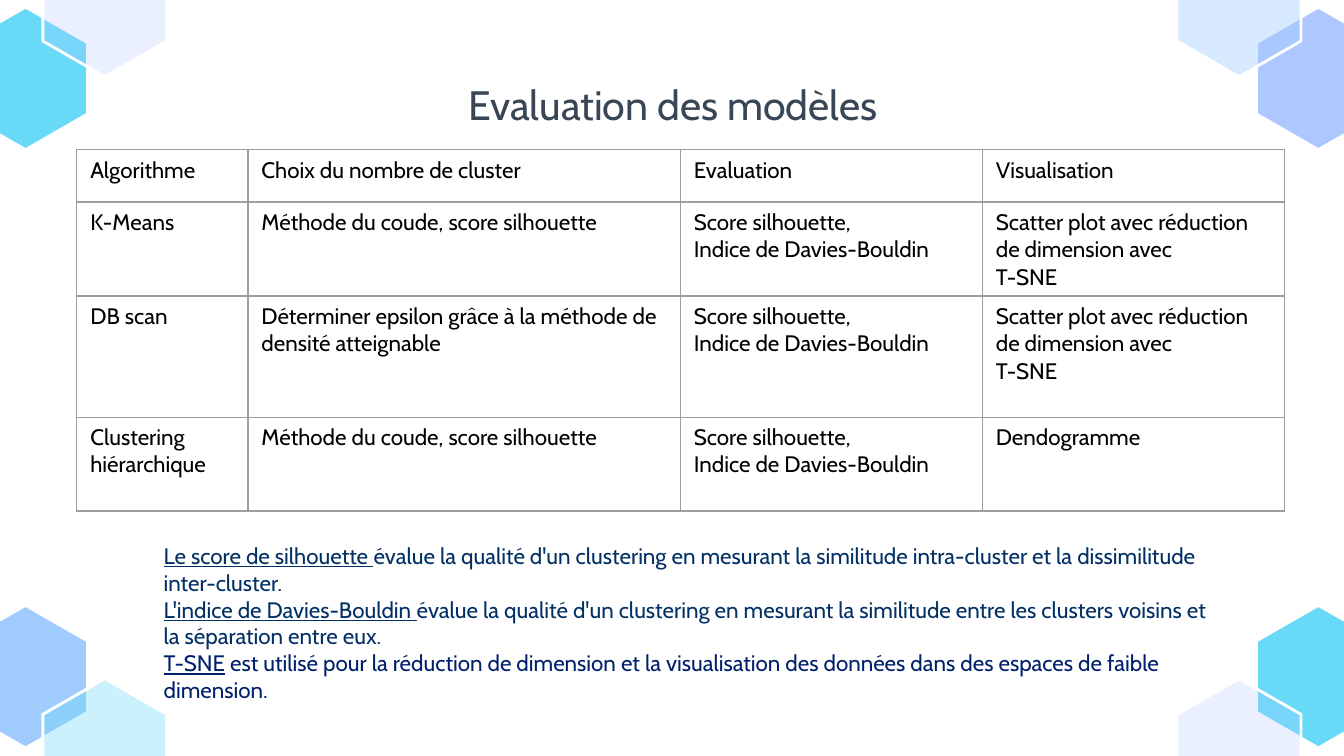
import pptx
import pptx.util
import pptx.dml.color
import pptx.enum.text
import pptx.oxml
import pptx.oxml.ns
from lxml import etree

Pt = pptx.util.Pt
qn = pptx.oxml.ns.qn


def color(code):
    return pptx.dml.color.RGBColor.from_string(code)


def style(para, size, code):
    para.font.name = "Cabin"
    para.font.size = Pt(size)
    para.font.color.rgb = color(code)


deck = pptx.Presentation()
deck.slide_width, deck.slide_height = Pt(720), Pt(405)
slide = deck.slides.add_slide(deck.slide_layouts[6])
shapes = slide.shapes

# Corner hexagons: centre x, centre y, fill, opacity in percent
hexes = [
    (13.7, 362.5, "9FCBFD", 100), (56.2, 401.8, "68DAF8", 34),
    (706.3, 362.5, "68DAF8", 100), (663.8, 401.8, "AFC7FF", 25),
    (13.7, 42, "68DAF8", 100), (56.2, 2.9, "AFC7FF", 25),
    (706.3, 42, "AFC7FF", 100), (663.8, 2.9, "9FCBFD", 41),
]
half, tall, side = 33.2, 38.2, 19.1
for x, y, code, alpha in hexes:
    build = shapes.build_freeform(Pt(x), Pt(y - tall), scale=1)
    rest = [(half, -side), (half, side), (0, tall), (-half, side), (-half, -side)]
    build.add_line_segments([(Pt(x + dx), Pt(y + dy)) for dx, dy in rest], close=True)
    shape = build.convert_to_shape()
    shape.shadow.inherit = False
    shape.fill.solid()
    shape.fill.fore_color.rgb = color(code)
    if alpha < 100:
        tone = shape.fill._xPr.find(qn("a:solidFill"))[0]
        etree.SubElement(tone, qn("a:alpha"), val=str(alpha * 1000))
    shape.line.color.rgb = color("FFFFFF")
    shape.line.width = Pt(1.5)

# Title
frame = shapes.add_textbox(Pt(56.9), Pt(35.3), Pt(607), Pt(45.4)).text_frame
frame.word_wrap = True
frame.margin_top = frame.margin_bottom = Pt(7.2)
para = frame.paragraphs[0]
para.text = "Evaluation des modèles"
para.alignment = pptx.enum.text.PP_ALIGN.CENTER
style(para, 22, "384655")

# Notes on the scores: underlined term, its meaning, colour
notes = [
    ("Le score de silhouette ", "évalue la qualité d'un clustering en mesurant la "
     "similitude intra-cluster et la dissimilitude inter-cluster.", "023065"),
    ("L'indice de Davies-Bouldin ", "évalue la qualité d'un clustering en mesurant la "
     "similitude entre les clusters voisins et la séparation entre eux.", "023065"),
    ("T-SNE", " est utilisé pour la réduction de dimension et la visualisation des "
     "données dans des espaces de faible dimension.", "00206C"),
]
frame = shapes.add_textbox(Pt(80.6), Pt(286.8), Pt(582.5), Pt(94.5)).text_frame
frame.word_wrap = True
for i, (term, text, code) in enumerate(notes):
    para = frame.add_paragraph() if i else frame.paragraphs[0]
    style(para, 12, code)
    run = para.add_run()
    run.text = term
    run.font.underline = True
    para.add_run().text = text

# Table of models
coude = "Méthode du coude, score silhouette"
score = "Score silhouette,\nIndice de Davies-Bouldin"
plot = "Scatter plot avec réduction de dimension avec\nT-SNE"
rows = [
    ("Algorithme", "Choix du nombre de cluster", "Evaluation", "Visualisation"),
    ("K-Means", coude, score, plot),
    ("DB scan", "Déterminer epsilon grâce à la méthode de densité atteignable",
     score, plot),
    ("Clustering hiérarchique", coude, score, "Dendogramme"),
]
widths = [91.7, 231.7, 161.8, 161.8]
heights = [28, 50.3, 64.9, 50.3]
table = shapes.add_table(4, 4, Pt(41.2), Pt(80.2), Pt(sum(widths)), Pt(sum(heights))).table
table.first_row = table.horz_banding = False
for col, width in zip(table.columns, widths):
    col.width = Pt(width)
for row, height, texts in zip(table.rows, heights, rows):
    row.height = Pt(height)
    for cell, text in zip(row.cells, texts):
        cell.text = text
        for para in cell.text_frame.paragraphs:
            style(para, 12, "000000")
        props = cell._tc.get_or_add_tcPr()
        for edge in ("lnL", "lnR", "lnT", "lnB"):
            line = etree.SubElement(props, qn("a:" + edge), w=str(Pt(0.75)))
            fill = etree.SubElement(line, qn("a:solidFill"))
            etree.SubElement(fill, qn("a:srgbClr"), val="9E9E9E")
        cell.fill.background()

deck.save("out.pptx")
